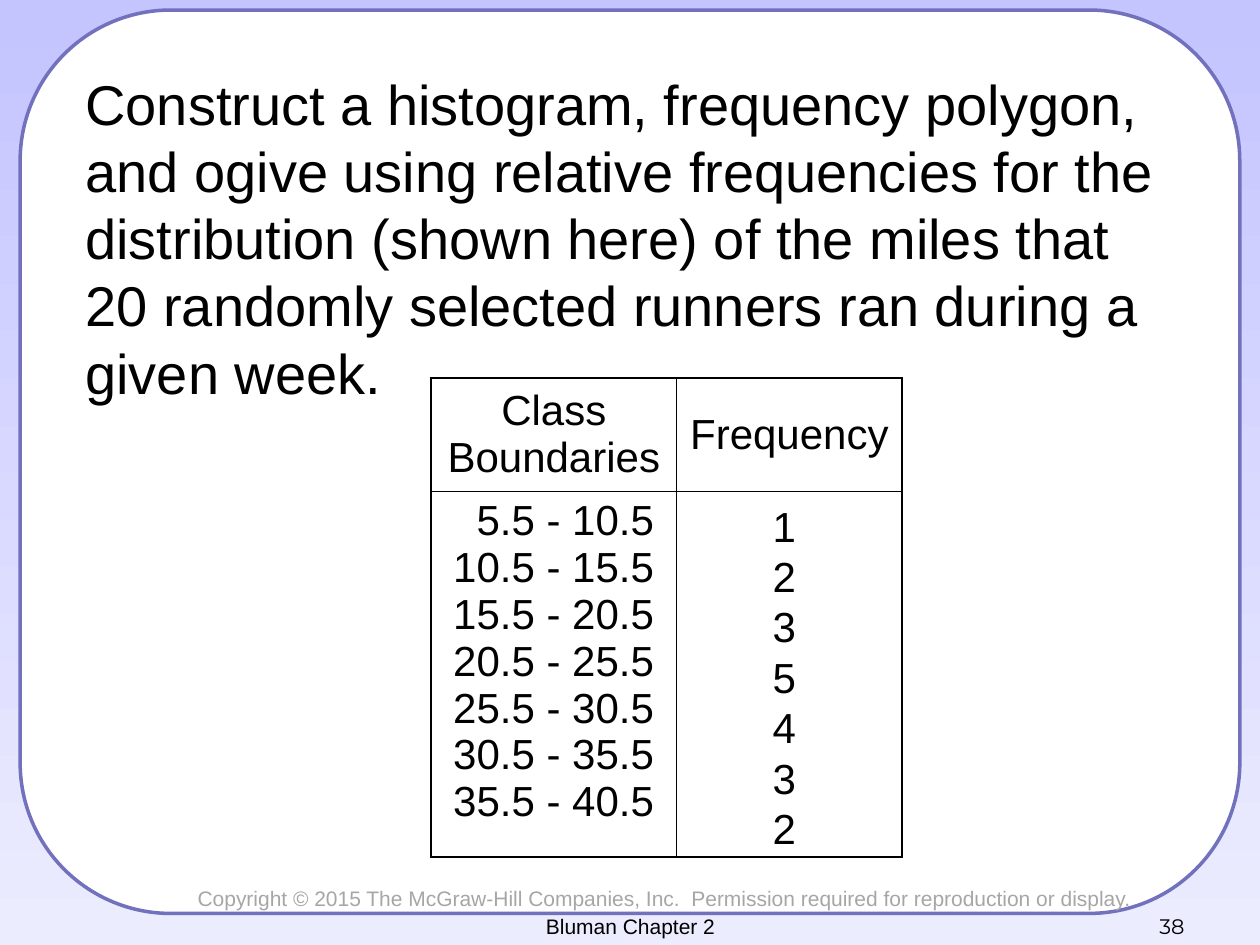
from lxml.etree import SubElement
from pptx import Presentation
from pptx.dml.color import RGBColor
from pptx.enum.shapes import MSO_SHAPE
from pptx.enum.text import MSO_ANCHOR, PP_ALIGN
from pptx.oxml.ns import qn
from pptx.util import Inches, Pt


def tint(code):
    return RGBColor.from_string(code)


def write(frame, lines, size, code="000000", face="Arial", align=PP_ALIGN.LEFT):
    for i, line in enumerate(lines):
        para = frame.paragraphs[0] if i == 0 else frame.add_paragraph()
        para.text = line
        para.alignment = align
        for name, value in {"size": Pt(size), "name": face}.items():
            setattr(para.font, name, value)
        para.font.color.rgb = tint(code)


deck = Presentation()
deck.slide_width, deck.slide_height = Inches(10), Inches(7.5)
slide = deck.slides.add_slide(deck.slide_layouts[6])
shapes = slide.shapes

back = slide.background.fill
back.gradient()
back.gradient_angle = 270
for stop, code in zip(back.gradient_stops, ("C4C4FF", "ECECFF")):
    stop.color.rgb = tint(code)

panel = shapes.add_shape(
    MSO_SHAPE.ROUNDED_RECTANGLE, Inches(0.16), Inches(0.08), Inches(9.68), Inches(7.17)
)
panel.shadow.inherit = False
panel.fill.solid()
panel.fill.fore_color.rgb = tint("FFFFFF")
panel.line.color.rgb = tint("7171BD")
panel.line.width = Pt(2)

wide, tall = (1.95, 1.79), (0.9, 2.9)
table = shapes.add_table(
    2, 2, Inches(3.42), Inches(3), Inches(sum(wide)), Inches(sum(tall))
).table
for name in ("first_row", "horz_banding"):
    setattr(table, name, False)
for col, width in zip(table.columns, wide):
    col.width = Inches(width)
for row, height in zip(table.rows, tall):
    row.height = Inches(height)

for cell in table.iter_cells():
    props = cell._tc.get_or_add_tcPr()
    for side in ("lnL", "lnR", "lnT", "lnB"):
        edge = SubElement(props, qn("a:" + side), w=str(Pt(1)))
        paint = SubElement(edge, qn("a:solidFill"))
        SubElement(paint, qn("a:srgbClr"), val="000000")
    cell.fill.background()

for i, head in enumerate(("Class Boundaries", "Frequency")):
    cell = table.cell(0, i)
    cell.vertical_anchor = MSO_ANCHOR.MIDDLE
    write(cell.text_frame, [head], 24, align=PP_ALIGN.CENTER)

bounds = [f"{low + 0.5} - {low + 5.5}" for low in range(5, 40, 5)]
cell = table.cell(1, 0)
cell.margin_right = Inches(0.18)
write(cell.text_frame, bounds, 24, align=PP_ALIGN.RIGHT)

task = [
    "Construct a histogram, frequency polygon, and ogive using relative frequencies for the",
    "distribution (shown here) of the miles that 20 randomly selected runners ran during a",
    "given week.",
]
note = "Copyright © 2015 The McGraw-Hill Companies, Inc.  Permission required for reproduction or display."
top, low = MSO_ANCHOR.TOP, MSO_ANCHOR.BOTTOM
mid = {"align": PP_ALIGN.CENTER}
boxes = [
    ((1.47, 6.98, 7.67, 0.3), [note], 12, top, False, {"code": "A6A6A6"}),
    ((6.03, 3.92, 0.39, 2.93), list("1235432"), 24, top, False, mid),
    ((0.58, 0.5, 8.83, 1.08), task, 32, top, True, {}),
    ((7.17, 7, 2.33, 0.5), ["38"], 12, low, True,
     {"face": "Montserrat", "align": PP_ALIGN.RIGHT}),
    ((3.42, 7, 3.17, 0.5), ["Bluman Chapter 2"], 12, low, True, mid),
]
for place, lines, size, anchor, wrap, form in boxes:
    frame = shapes.add_textbox(*map(Inches, place)).text_frame
    for name, value in {"word_wrap": wrap, "vertical_anchor": anchor}.items():
        setattr(frame, name, value)
    write(frame, lines, size, **form)

deck.save("out.pptx")
